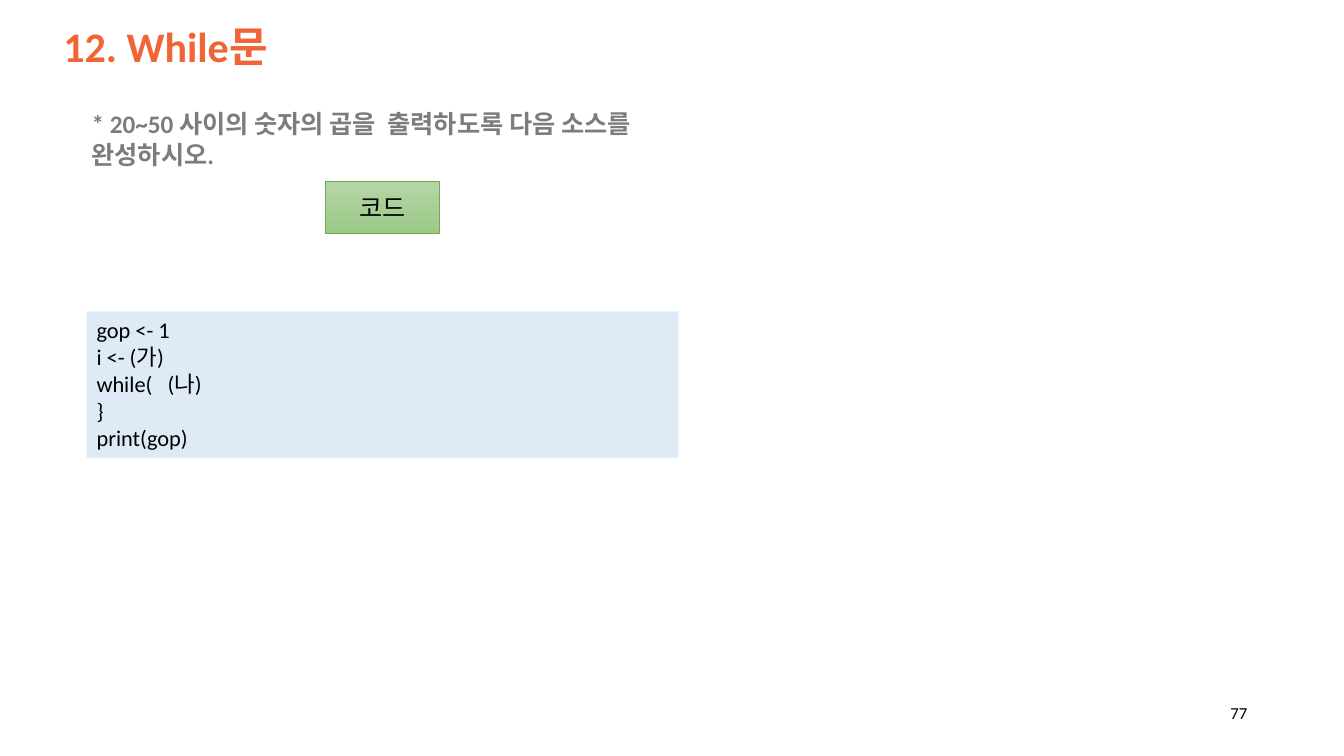
"""Build the slide on the while statement with a fill-in code exercise."""
from pptx import Presentation
from pptx.dml.color import RGBColor
from pptx.enum.shapes import MSO_SHAPE
from pptx.enum.text import MSO_ANCHOR, PP_ALIGN
from pptx.util import Emu, Pt

RECTANGLE = MSO_SHAPE.RECTANGLE
TOP, MIDDLE = MSO_ANCHOR.TOP, MSO_ANCHOR.MIDDLE
LEFT, CENTER, RIGHT = PP_ALIGN.LEFT, PP_ALIGN.CENTER, PP_ALIGN.RIGHT
PX = 9144

THEME = {
    "font": "Calibri",
    "title": (30, "F06436", True),
    "task": (18, "7C7C7C", True),
    "label": (18, "000000", False),
    "code": (16, "000000", False),
    "number": (12, "000000", False),
    "label_gradient": ("B5D5A7", "9CC987"),
    "label_line": "70AD47",
    "code_fill": "DEEBF7",
}

CODE = """gop <- 1
i <- (가)
while(   (나)
}
print(gop)"""


def box(left, top, width, height):
    return [Emu(length * PX) for length in (left, top, width, height)]


def write(shape, text, style, anchor=TOP, alignment=LEFT, line_spacing=None):
    size, color, bold = THEME[style]
    text_frame = shape.text_frame
    text_frame.word_wrap = True
    text_frame.vertical_anchor = anchor
    text_frame.text = text
    for paragraph in text_frame.paragraphs:
        paragraph.alignment = alignment
        paragraph.line_spacing = line_spacing
        for run in paragraph.runs:
            run.font.name = THEME["font"]
            run.font.size = Pt(size)
            run.font.bold = bold
            run.font.color.rgb = RGBColor.from_string(color)


presentation = Presentation()
presentation.slide_width = Emu(1333 * PX)
presentation.slide_height = Emu(750 * PX)
slide = presentation.slides.add_slide(presentation.slide_layouts[6])
shapes = slide.shapes

title = shapes.add_textbox(*box(53, 12, 1234, 73))
write(title, "12. While문", "title", MIDDLE, line_spacing=0.9)

page_number = shapes.add_textbox(*box(1203, 687, 44, 40))
write(page_number, "77", "number", MIDDLE, RIGHT)

code_label = shapes.add_shape(RECTANGLE, *box(323, 180, 113, 52))
code_label.shadow.inherit = False
code_label.fill.gradient()
code_label.fill.gradient_angle = 270
for stop, color in zip(code_label.fill.gradient_stops, THEME["label_gradient"]):
    stop.color.rgb = RGBColor.from_string(color)
code_label.line.color.rgb = RGBColor.from_string(THEME["label_line"])
code_label.line.width = Pt(0.5)
write(code_label, "코드", "label", MIDDLE, CENTER)

code_panel = shapes.add_shape(RECTANGLE, *box(86, 309, 587, 145))
code_panel.shadow.inherit = False
code_panel.fill.solid()
code_panel.fill.fore_color.rgb = RGBColor.from_string(THEME["code_fill"])
code_panel.line.fill.background()
write(code_panel, CODE, "code")

task = shapes.add_textbox(*box(81, 103, 667, 71))
write(task, "* 20~50 사이의 숫자의 곱을  출력하도록 다음 소스를 완성하시오.", "task")

presentation.save("out.pptx")
